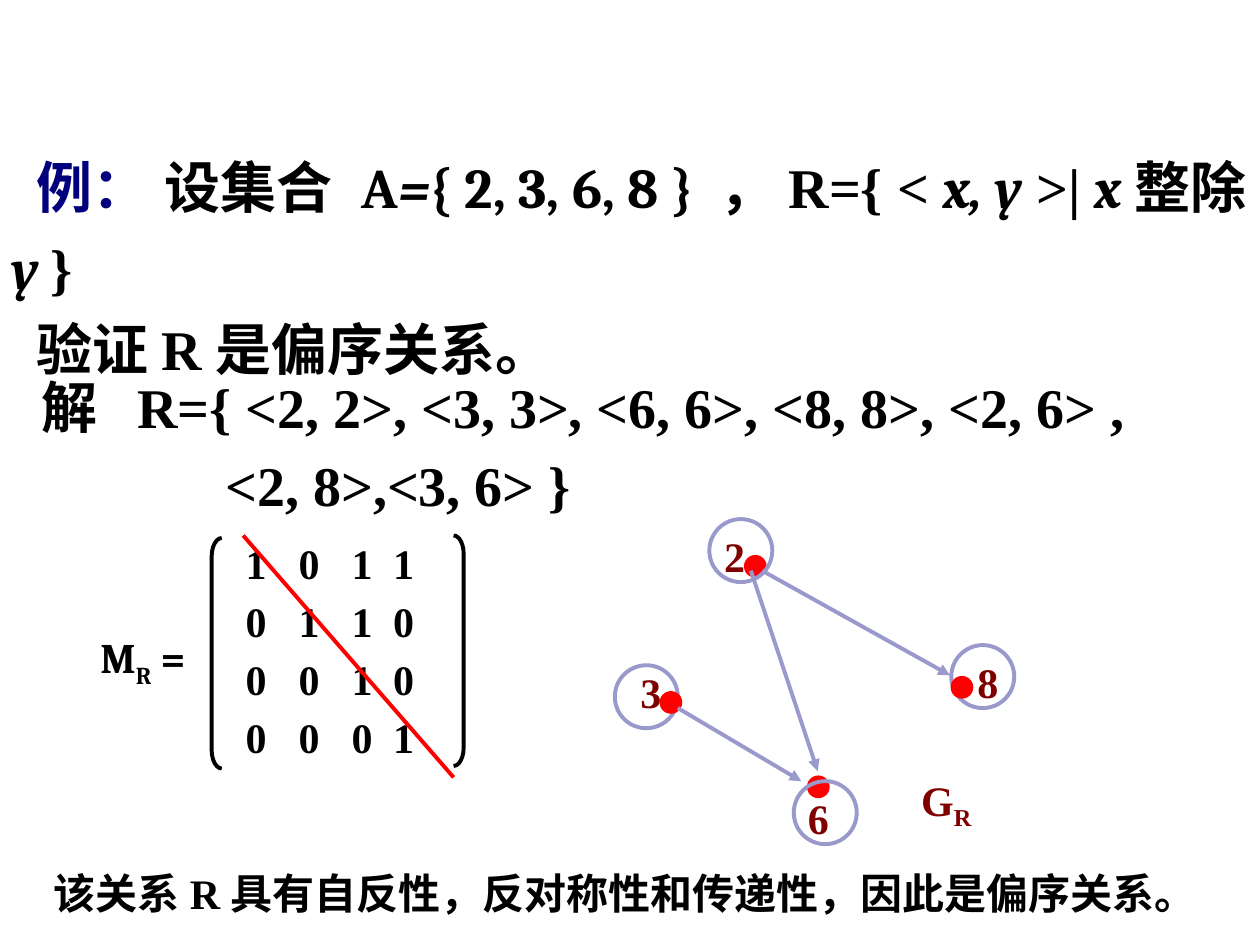
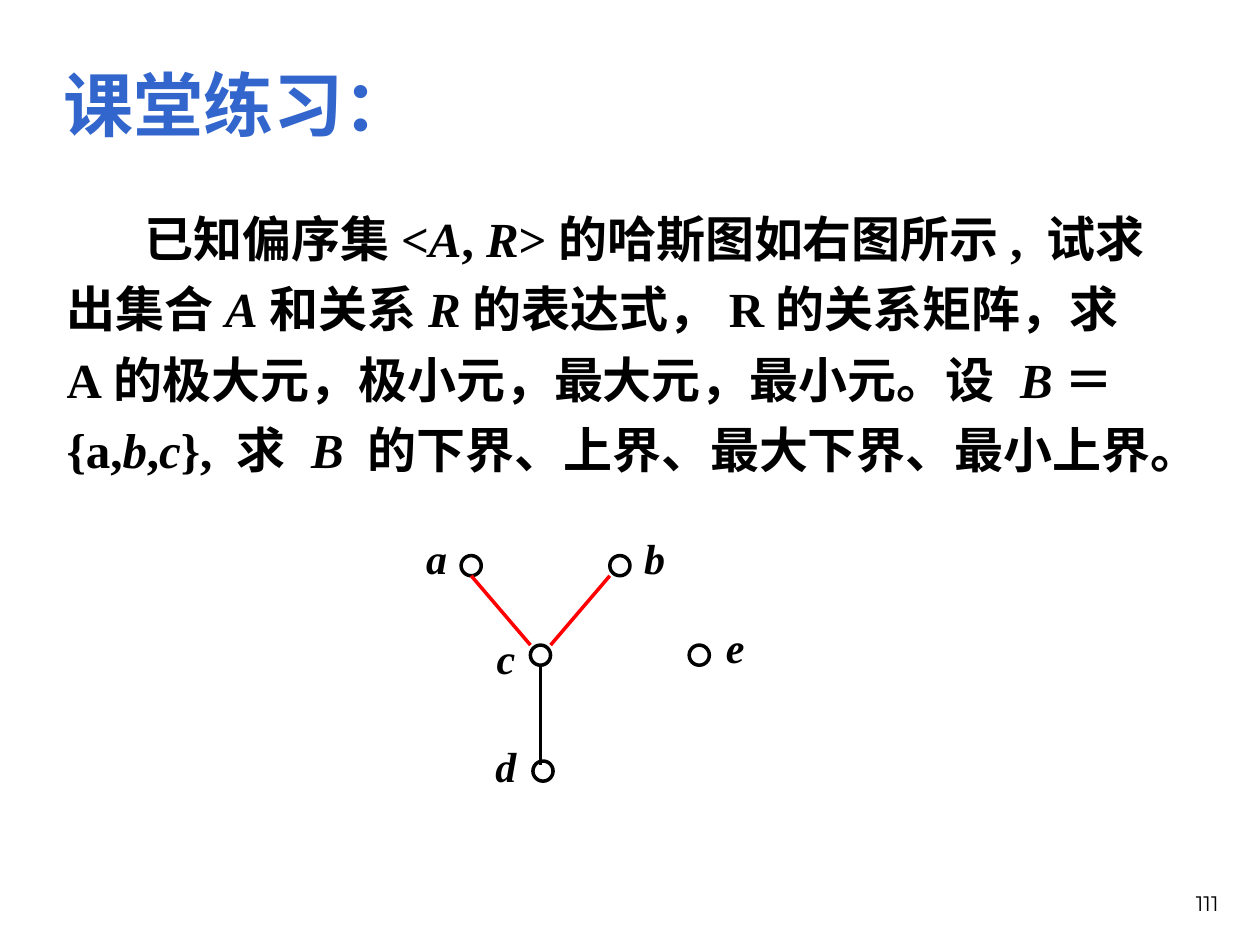
from lxml import etree
from pptx import Presentation
from pptx.dml.color import RGBColor
from pptx.enum.shapes import MSO_CONNECTOR, MSO_SHAPE
from pptx.enum.text import MSO_ANCHOR, MSO_AUTO_SIZE, PP_ALIGN
from pptx.oxml.ns import qn
from pptx.util import Pt

PX = 9144  # 100 px to the inch

BLACK = RGBColor(0x00, 0x00, 0x00)
RED = RGBColor(0xFF, 0x00, 0x00)
MAROON = RGBColor(0x80, 0x00, 0x00)
NAVY = RGBColor(0x00, 0x00, 0x7D)
BLUE = RGBColor(0x33, 0x66, 0xCC)
LAVENDER = RGBColor(0x99, 0x99, 0xCC)

SERIF = "Times New Roman"
MATH = "Cambria"
CJK = "Noto Sans CJK SC"
SANS = "Montserrat"

OVAL = MSO_SHAPE.OVAL
LEFT_BRACKET = MSO_SHAPE.LEFT_BRACKET
RIGHT_BRACKET = MSO_SHAPE.RIGHT_BRACKET
STRAIGHT = MSO_CONNECTOR.STRAIGHT
TOP, MIDDLE, BOTTOM = MSO_ANCHOR.TOP, MSO_ANCHOR.MIDDLE, MSO_ANCHOR.BOTTOM
LEFT, CENTER, RIGHT = PP_ALIGN.LEFT, PP_ALIGN.CENTER, PP_ALIGN.RIGHT
FIT_TEXT = MSO_AUTO_SIZE.SHAPE_TO_FIT_TEXT

RING = 50
DOT = 17
HASSE_NODE = 16


def px(*lengths):
    return [length * PX for length in lengths]


def add_text(slide, box, anchor=MIDDLE, margin=10):
    """Add an empty text box; return its text frame."""
    frame = slide.shapes.add_textbox(*px(*box)).text_frame
    frame.word_wrap = True
    frame.auto_size = FIT_TEXT
    frame.vertical_anchor = anchor
    frame.margin_left = frame.margin_right = margin * PX
    return frame


def add_paragraph(frame, runs, size, color=BLACK, font=SERIF, bold=True,
                  italic=False, align=LEFT, spacing=1.0, indent=0):
    """Fill the next paragraph; each run is (text, font overrides)."""
    first = frame.paragraphs[0]
    paragraph = frame.add_paragraph() if first.runs else first
    paragraph.alignment = align
    paragraph.line_spacing = spacing
    properties = paragraph._p.get_or_add_pPr()
    properties.set("marL", "0")
    properties.set("indent", str(indent * PX))
    style = paragraph.font
    style.size, style.bold, style.italic = Pt(size), bold, italic
    style.name = font
    style.color.rgb = color
    # A sans East Asian face keeps the Chinese characters sans-serif.
    etree.SubElement(properties.find(qn("a:defRPr")), qn("a:ea"), typeface=SANS)
    for text, overrides in runs:
        run = paragraph.add_run()
        run.text = text
        if "font" in overrides:
            run.font.name = overrides["font"]
        if "color" in overrides:
            run.font.color.rgb = overrides["color"]
        if "italic" in overrides:
            run.font.italic = overrides["italic"]
        if "baseline" in overrides:
            run.font._element.set("baseline", str(overrides["baseline"]))


def add_lines(slide, box, lines, size, anchor=MIDDLE, margin=10, **style):
    """Add a text box with one plain paragraph per line."""
    frame = add_text(slide, box, anchor, margin)
    for line in lines:
        add_paragraph(frame, [(line, {})], size, **style)


def add_label(slide, box, runs, **style):
    """Add a centred 24 pt label."""
    frame = add_text(slide, box, margin=0)
    add_paragraph(frame, runs, 24, align=CENTER, **style)


def add_outline(slide, kind, box, color, width, fill=None):
    shape = slide.shapes.add_shape(kind, *px(*box))
    shape.shadow.inherit = False
    shape.line.color.rgb = color
    shape.line.width = Pt(width)
    if fill is None:
        shape.fill.background()
    else:
        shape.fill.solid()
        shape.fill.fore_color.rgb = fill
    return shape


def add_line(slide, start, end, color, width, arrow=False):
    line = slide.shapes.add_connector(STRAIGHT, *px(*start, *end))
    line.line.color.rgb = color
    line.line.width = Pt(width)
    if arrow:
        etree.SubElement(line.line._get_or_add_ln(), qn("a:tailEnd"), type="triangle")
    etree.SubElement(line._element.spPr, qn("a:effectLst"))


def italic_runs(marked):
    """Split text at asterisks; every second part is italic."""
    return [(part, {"italic": True} if index % 2 else {})
            for index, part in enumerate(marked.split("*"))]


def add_problem(slide):
    frame = add_text(slide, (-1, 137, 1034, 139))
    math, variable = {"font": MATH}, {"font": MATH, "italic": True}
    add_paragraph(frame, [
        ("例： ", {"color": NAVY}), ("设集合 ", {}), ("A", math), ("=", variable),
        ("{ 2, 3, 6, 8 } ，", math), ("R={ < ", {}), ("x, y", variable),
        (" >| ", {}), ("x", variable), ("整除 ", math), ("y ", variable), ("}", {}),
    ], 32, spacing=1.2, indent=20)
    add_paragraph(frame, [("验证R是", {}), ("偏序关系。", {"font": CJK})],
                  32, spacing=1.2, indent=20)


def add_solution(slide):
    add_lines(slide, (23, 283, 76, 70), ["解"], 32, TOP, spacing=1.15)
    frame = add_text(slide, (99, 283, 914, 128), TOP)
    pairs = [("R={ <2, 2>, <3, 3>, <6, 6>, <8, 8>, <2, 6> ,", 0),
             ("<2, 8>,<3, 6> }", 70)]
    for text, indent in pairs:
        add_paragraph(frame, [(text, {})], 32, spacing=1.15, indent=indent)


def add_relation_matrix(slide):
    add_label(slide, (63, 482, 101, 66),
              [("M", {}), ("R", {"baseline": -25000}), (" =", {})],
              font=MATH, spacing=1.4)
    rows = ["1011", "0110", "0010", "0001"]
    for left, column in zip([195, 237, 279, 312], zip(*rows)):
        add_lines(slide, (left, 416, 30, 194), column, 24, margin=0, spacing=1.15)
    for kind, left, top in [(LEFT_BRACKET, 168, 427), (RIGHT_BRACKET, 360, 425)]:
        bracket = add_outline(slide, kind, (left, top, 8, 183), BLACK, 2.25)
        bracket.adjustments[0] = 1.83
    add_line(slide, (193, 425), (360, 617), RED, 2.25)


def add_relation_graph(slide):
    def add_ring(left, top):
        add_outline(slide, OVAL, (left, top, RING, RING), LAVENDER, 2.25)

    for corner in [(488, 528), (755, 512)]:
        add_ring(*corner)
    nodes = [
        ("2", (591, 441), (563, 400, 40, 66)),
        ("3", (524, 549), (498, 508, 37, 66)),
        ("6", (641, 616), (631, 608, 37, 66)),
        ("8", (755, 537), (755, 500, 58, 66)),
    ]
    for name, dot, label in nodes:
        add_outline(slide, OVAL, (*dot, DOT, DOT), RED, 0.75, fill=RED)
        add_label(slide, label, [(name, {})], color=MAROON, spacing=1.4)
    for corner in [(563, 412), (630, 620)]:
        add_ring(*corner)
    for start, end in [((596, 453), (649, 612)), ((605, 453), (754, 536)),
                       ((538, 562), (636, 620))]:
        add_line(slide, start, end, LAVENDER, 2.25, arrow=True)
    add_label(slide, (720, 595, 62, 66), [("G", {}), ("R", {"baseline": -25000})],
              color=MAROON, spacing=1.4)


def add_exercise(slide):
    add_lines(slide, (41, 31, 340, 83), ["课堂练习："], 40, TOP,
              color=BLUE, spacing=1.2)
    frame = add_text(slide, (43, 151, 882, 231), TOP)
    question = ("已知偏序集<*A*, *R*>的哈斯图如右图所示, 试求出集合*A*和关系*R*"
                "的表达式，R的关系矩阵，求A的极大元，极小元，最大元，最小元。设 *B*"
                "＝{a,*b*,*c*}, 求 *B *的下界、上界、最大下界、最小上界。")
    add_paragraph(frame, italic_runs(question), 28, spacing=1.2, indent=62)


def add_hasse_diagram(slide):
    nodes = [
        ("a", (366, 441), (327, 418)),
        ("b", (484, 441), (500, 418)),
        ("c", (421, 512), (382, 497)),
        ("d", (423, 604), (382, 583)),
        ("e", (547, 512), (564, 488)),
    ]
    for name, circle, label in nodes:
        add_outline(slide, OVAL, (*circle, HASSE_NODE, HASSE_NODE), BLACK, 2)
        add_label(slide, (*label, 39, 50), [(name, {})], italic=True)
    add_line(slide, (374, 457), (421, 512), RED, 2)
    add_line(slide, (484, 457), (437, 512), RED, 2)
    add_line(slide, (429, 528), (429, 607), BLACK, 2)


def main():
    deck = Presentation()
    deck.slide_width, deck.slide_height = px(1000, 750)
    blank = deck.slide_layouts[6]

    example = deck.slides.add_slide(blank)
    add_problem(example)
    add_solution(example)
    add_relation_matrix(example)
    add_relation_graph(example)
    add_lines(example, (33, 677, 920, 57),
              ["该关系R具有自反性，反对称性和传递性，因此是偏序关系。"],
              24, spacing=1.15)

    practice = deck.slides.add_slide(blank)
    add_exercise(practice)
    add_hasse_diagram(practice)
    add_lines(practice, (744, 682, 233, 50), ["111"], 12, BOTTOM,
              font=SANS, bold=False, align=RIGHT)

    deck.save("out.pptx")


if __name__ == "__main__":
    main()
